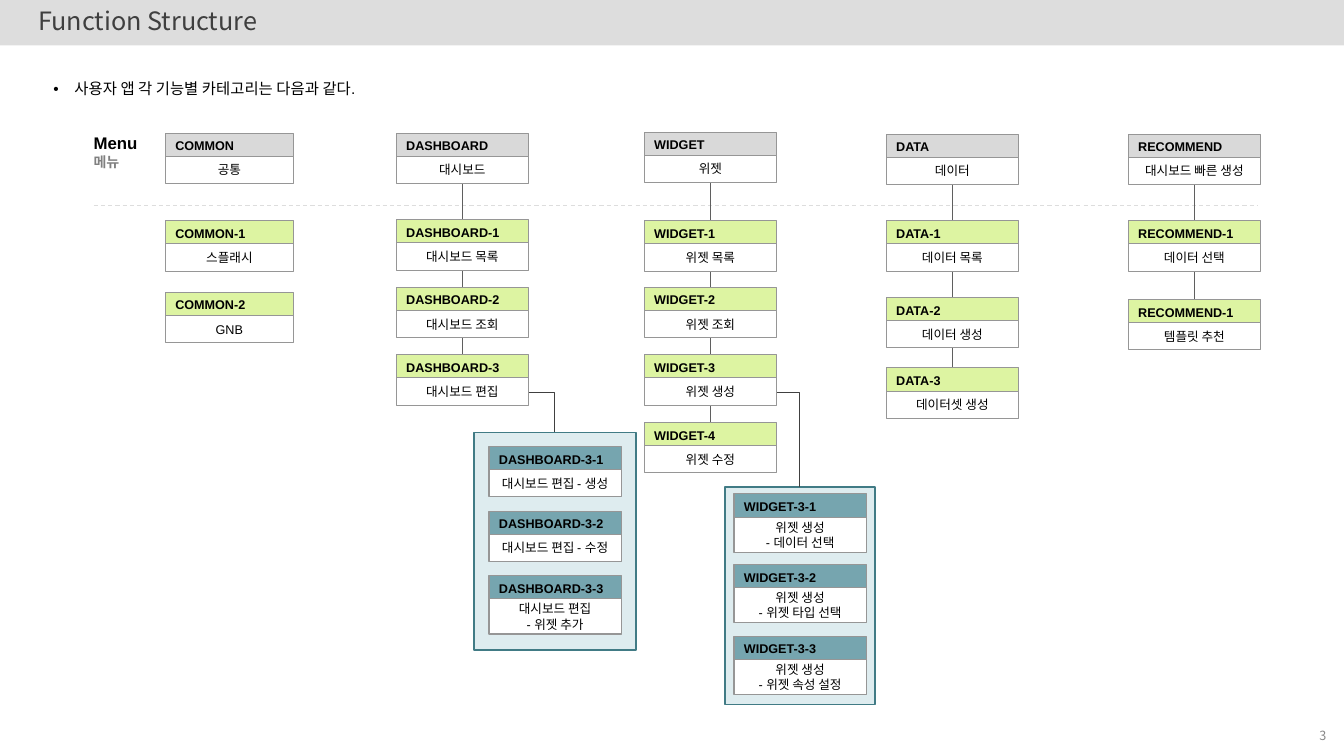
"""Build the Function Structure slide: five menu columns and two detail panels."""
from dataclasses import dataclass

from lxml import etree
from pptx import Presentation
from pptx.dml.color import RGBColor
from pptx.enum.dml import MSO_LINE
from pptx.enum.shapes import MSO_CONNECTOR as LINK, MSO_SHAPE
from pptx.enum.text import MSO_ANCHOR as ANCHOR, PP_ALIGN as ALIGN
from pptx.oxml.ns import qn
from pptx.util import Inches, Pt


@dataclass(frozen=True)
class Theme:
    latin: str = "Arial"
    korean: str = "Noto Sans CJK KR"
    ink: str = "000000"
    title_ink: str = "3F3F3F"
    muted: str = "808080"
    page_ink: str = "888888"
    band: str = "DDDDDD"
    paper: str = "FFFFFF"
    menu: str = "D9D9D9"
    feature: str = "DDF4A2"
    detail: str = "76A5AF"
    panel: str = "DEECEF"
    panel_edge: str = "417B85"
    card_edge: str = "969696"
    spine: str = "5F5F5F"
    branch: str = "404040"
    title_size: float = 18
    menu_size: float = 12
    lead_size: float = 11
    sub_size: float = 10
    card_size: float = 9


THEME = Theme()
TITLE = "Function Structure"
LEAD = "사용자 앱 각 기능별 카테고리는 다음과 같다."
MENU_LABEL = ("Menu", "메뉴")
PAGE = "3"

COLUMNS = [
    dict(left=1.64, width=1.27, spine=False, tops=(1.32, 2.19, 2.9), cards=[
        ("COMMON", "공통"), ("COMMON-1", "스플래시"), ("COMMON-2", "GNB")]),
    dict(left=3.93, width=1.31, spine=True, tops=(1.32, 2.18, 2.85, 3.52), cards=[
        ("DASHBOARD", "대시보드"), ("DASHBOARD-1", "대시보드 목록"),
        ("DASHBOARD-2", "대시보드 조회"), ("DASHBOARD-3", "대시보드 편집")]),
    dict(left=6.39, width=1.31, spine=True, tops=(1.31, 2.19, 2.85, 3.52, 4.19), cards=[
        ("WIDGET", "위젯"), ("WIDGET-1", "위젯 목록"), ("WIDGET-2", "위젯 조회"),
        ("WIDGET-3", "위젯 생성"), ("WIDGET-4", "위젯 수정")]),
    dict(left=8.79, width=1.31, spine=True, tops=(1.33, 2.19, 2.95, 3.65), cards=[
        ("DATA", "데이터"), ("DATA-1", "데이터 목록"),
        ("DATA-2", "데이터 생성"), ("DATA-3", "데이터셋 생성")]),
    dict(left=11.19, width=1.31, spine=True, tops=(1.33, 2.19, 2.97), cards=[
        ("RECOMMEND", "대시보드 빠른 생성"), ("RECOMMEND-1", "데이터 선택"),
        ("RECOMMEND-1", "템플릿 추천")]),
]
PANELS = [
    dict(box=(4.7, 4.29, 1.61, 2.16), left=4.85, tops=(4.43, 5.07, 5.71),
         branch=(5.25, 3.89, 5.5, 4.29), cards=[
        ("DASHBOARD-3-1", "대시보드 편집 - 생성"),
        ("DASHBOARD-3-2", "대시보드 편집 - 수정"),
        ("DASHBOARD-3-3", "대시보드 편집", "- 위젯 추가")]),
    dict(box=(7.19, 4.83, 1.49, 2.16), left=7.28, tops=(4.9, 5.6, 6.31),
         branch=(7.71, 3.89, 7.93, 4.83), cards=[
        ("WIDGET-3-1", "위젯 생성", "- 데이터 선택"),
        ("WIDGET-3-2", "위젯 생성", "- 위젯 타입 선택"),
        ("WIDGET-3-3", "위젯 생성", "- 위젯 속성 설정")]),
]
DETAIL_WIDTH = 1.31
CODE_HEIGHT, NAME_OFFSET = 0.25, 0.23
NAME_HEIGHTS = {1: 0.27, 2: 0.35}

deck = Presentation()
deck.slide_width, deck.slide_height = Inches(13.33), Inches(7.5)
slide = deck.slides.add_slide(deck.slide_layouts[6])


def rgb(code):
    return RGBColor.from_string(code)


def write(shape, lines, size=THEME.card_size, color=THEME.ink, bold=False,
          latin=THEME.latin, align=ALIGN.LEFT, anchor=ANCHOR.MIDDLE,
          side=0.1, edge=0.05, spacing=None):
    frame = shape.text_frame
    frame.word_wrap, frame.vertical_anchor = True, anchor
    frame.margin_left = frame.margin_right = Inches(side)
    frame.margin_top = frame.margin_bottom = Inches(edge)
    for index, line in enumerate(lines):
        paragraph = frame.add_paragraph() if index else frame.paragraphs[0]
        paragraph.alignment, paragraph.line_spacing = align, spacing
        run = paragraph.add_run()
        run.text = line
        font = run.font
        font.name, font.size, font.bold = latin, Pt(size), bold
        font.color.rgb = rgb(color)
        etree.SubElement(run._r.rPr, qn("a:ea"), typeface=THEME.korean)
    return frame


def label(box, lines, **style):
    return write(slide.shapes.add_textbox(*map(Inches, box)), lines, **style)


def block(box, fill, edge=None, weight=0.75):
    shape = slide.shapes.add_shape(MSO_SHAPE.RECTANGLE, *map(Inches, box))
    shape.shadow.inherit = False
    shape.fill.solid()
    shape.fill.fore_color.rgb = rgb(fill)
    if edge:
        shape.line.color.rgb, shape.line.width = rgb(edge), Pt(weight)
    else:
        shape.line.fill.background()
    return shape


def link(ends, color, weight=0.75, kind=LINK.STRAIGHT):
    connector = slide.shapes.add_connector(kind, *map(Inches, ends))
    connector.line.color.rgb, connector.line.width = rgb(color), Pt(weight)
    properties = connector._element.spPr
    etree.SubElement(properties, qn("a:effectLst"))
    if kind == LINK.ELBOW:
        properties.find(qn("a:prstGeom")).set("prst", "bentConnector2")
    return connector


def card(left, top, width, fill, code, *names):
    height = NAME_HEIGHTS[len(names)]
    write(block((left, top, width, CODE_HEIGHT), fill, THEME.card_edge), [code], bold=True)
    write(block((left, top + NAME_OFFSET, width, height), THEME.paper, THEME.card_edge),
          names, align=ALIGN.CENTER, side=0, edge=0)


block((0, 0, 13.33, 0.45), THEME.band)
label((0.28, 0.04, 12.71, 0.37), [TITLE], size=THEME.title_size, color=THEME.title_ink,
      latin=THEME.korean, anchor=ANCHOR.TOP, spacing=0.9)

lead = label((0.43, 0.74, 10.95, 0.28), [LEAD], size=THEME.lead_size, anchor=ANCHOR.TOP)
lead_format = lead.paragraphs[0]._p.get_or_add_pPr()
lead_format.set("marL", str(Inches(0.21)))
lead_format.set("indent", str(-Inches(0.21)))
etree.SubElement(lead_format, qn("a:buFont"), typeface=THEME.latin)
etree.SubElement(lead_format, qn("a:buChar"), char="•")

menu = label((0.83, 1.27, 1.09, 0.51), MENU_LABEL, size=THEME.menu_size, bold=True,
             anchor=ANCHOR.TOP)
menu_sub = menu.paragraphs[1].runs[0].font
menu_sub.size, menu_sub.color.rgb = Pt(THEME.sub_size), rgb(THEME.muted)

link((0.93, 2.04, 12.47, 2.04), THEME.band).line.dash_style = MSO_LINE.DASH

for column in COLUMNS:
    left, width, tops = column["left"], column["width"], column["tops"]
    if column["spine"]:
        center = left + width / 2
        link((center, tops[0] + CODE_HEIGHT, center, tops[-1]), THEME.spine)
    for index, (top, texts) in enumerate(zip(tops, column["cards"])):
        card(left, top, width, THEME.feature if index else THEME.menu, *texts)

for panel in PANELS:
    block(panel["box"], THEME.panel, THEME.panel_edge, 1)
    for top, texts in zip(panel["tops"], panel["cards"]):
        card(panel["left"], top, DETAIL_WIDTH, THEME.detail, *texts)
    link(panel["branch"], THEME.branch, 0.5, LINK.ELBOW)

label((12.9, 7.1, 0.44, 0.4), [PAGE], color=THEME.page_ink, latin=THEME.korean,
      align=ALIGN.CENTER)

deck.save("out.pptx")
